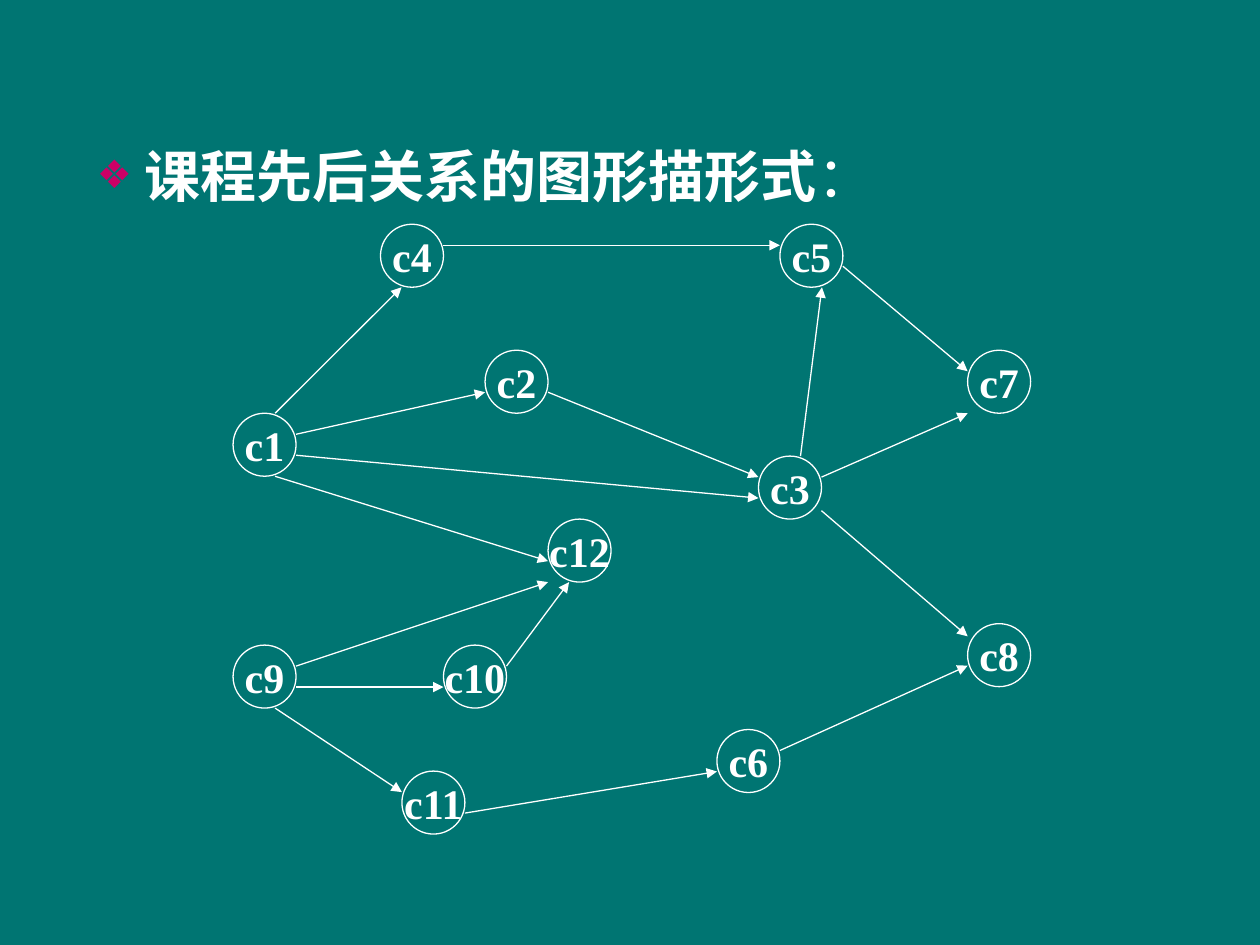
from lxml import etree
from pptx import Presentation
from pptx.dml.color import RGBColor
from pptx.enum.shapes import MSO_CONNECTOR, MSO_SHAPE
from pptx.enum.text import MSO_ANCHOR, PP_ALIGN
from pptx.oxml.ns import qn
from pptx.util import Inches, Pt

OVAL, STRAIGHT = MSO_SHAPE.OVAL, MSO_CONNECTOR.STRAIGHT
MIDDLE, CENTER = MSO_ANCHOR.MIDDLE, PP_ALIGN.CENTER
TEAL, WHITE, MAGENTA = "007572", "FFFFFF", "CC0066"
NODE_SIZE = 0.5
PORT_STEP = NODE_SIZE / 3

HEADING = [("课程先后关系的图形描形式", True), ("：", False)]
COURSES = {
    "c1": (1.85, 3.28), "c2": (3.85, 2.78), "c3": (6.02, 3.62),
    "c4": (3.02, 1.78), "c5": (6.19, 1.78), "c6": (5.69, 5.79),
    "c7": (7.68, 2.78), "c8": (7.68, 4.95), "c9": (1.85, 5.12),
    "c10": (3.52, 5.12), "c11": (3.19, 6.12), "c12": (4.35, 4.12),
}
PREREQUISITES = [
    ("c1", (2, 0), "c4", (1, 3)),
    ("c1", (3, 1), "c2", (0, 2)),
    ("c1", (3, 2), "c3", (0, 2)),
    ("c1", (2, 3), "c12", (0, 2)),
    ("c9", (3, 1), "c12", (0, 3)),
    ("c9", (3, 2), "c10", (0, 2)),
    ("c9", (2, 3), "c11", (0, 1)),
    ("c4", (3, 1), "c5", (0, 1)),
    ("c2", (3, 2), "c3", (0, 1)),
    ("c10", (3, 1), "c12", (1, 3)),
    ("c11", (3, 2), "c6", (0, 2)),
    ("c6", (3, 1), "c8", (0, 2)),
    ("c3", (3, 2.6), "c8", (0, 0.6)),
    ("c3", (3, 1), "c7", (0, 3)),
    ("c3", (2, 0), "c5", (2, 3)),
    ("c5", (3, 2), "c7", (0, 1)),
]


def color(value):
    return RGBColor.from_string(value)


def add_text(paragraph, text, size, font, bold=True, fill=WHITE):
    run = paragraph.add_run()
    run.text = text
    run.font.size = Pt(size)
    run.font.name = font
    run.font.bold = bold
    run.font.color.rgb = color(fill)


def add_bullet(paragraph, character, fill, percent, indent):
    properties = paragraph._p.get_or_add_pPr()
    properties.set("marL", str(Inches(indent)))
    properties.set("indent", str(Inches(-indent)))
    bullet_color = etree.SubElement(properties, qn("a:buClr"))
    etree.SubElement(bullet_color, qn("a:srgbClr"), val=fill)
    etree.SubElement(properties, qn("a:buSzPct"), val=str(percent * 1000))
    etree.SubElement(properties, qn("a:buFont"), typeface="Arial")
    etree.SubElement(properties, qn("a:buChar"), char=character)


def add_heading(slide):
    box = slide.shapes.add_textbox(Inches(0.67), Inches(1.07), Inches(8.58), Inches(5.35))
    box.text_frame.word_wrap = True
    paragraph = box.text_frame.paragraphs[0]
    paragraph.space_before = Pt(8)
    add_bullet(paragraph, "❖", MAGENTA, 70, 0.38)
    for text, bold in HEADING:
        add_text(paragraph, text, size=32, font="Arial", bold=bold)


def add_course(slide, name, left, top):
    shape = slide.shapes.add_shape(
        OVAL, Inches(left), Inches(top), Inches(NODE_SIZE), Inches(NODE_SIZE))
    shape.shadow.inherit = False
    shape.fill.background()
    shape.line.color.rgb = color(WHITE)
    shape.line.width = Pt(0.75)
    frame = shape.text_frame
    frame.margin_left = frame.margin_right = frame.margin_top = frame.margin_bottom = 0
    frame.word_wrap = False
    frame.vertical_anchor = MIDDLE
    paragraph = frame.paragraphs[0]
    paragraph.alignment = CENTER
    add_text(paragraph, name, size=24, font="Times New Roman")


def port_position(course, port):
    return [Inches(start + step * PORT_STEP) for start, step in zip(COURSES[course], port)]


def add_arrow(slide, source, source_port, target, target_port):
    connector = slide.shapes.add_connector(
        STRAIGHT, *port_position(source, source_port), *port_position(target, target_port))
    connector.line.color.rgb = color(WHITE)
    connector.line.width = Pt(0.75)
    etree.SubElement(connector.line._get_or_add_ln(), qn("a:tailEnd"), type="triangle")
    etree.SubElement(connector._element.spPr, qn("a:effectLst"))


def main():
    """Build the slide showing course prerequisites as a directed graph."""
    presentation = Presentation()
    presentation.slide_width, presentation.slide_height = Inches(10), Inches(7.5)
    slide = presentation.slides.add_slide(presentation.slide_layouts[6])
    slide.background.fill.solid()
    slide.background.fill.fore_color.rgb = color(TEAL)
    add_heading(slide)
    for name, position in COURSES.items():
        add_course(slide, name, *position)
    for prerequisite in PREREQUISITES:
        add_arrow(slide, *prerequisite)
    presentation.save("out.pptx")


if __name__ == "__main__":
    main()
